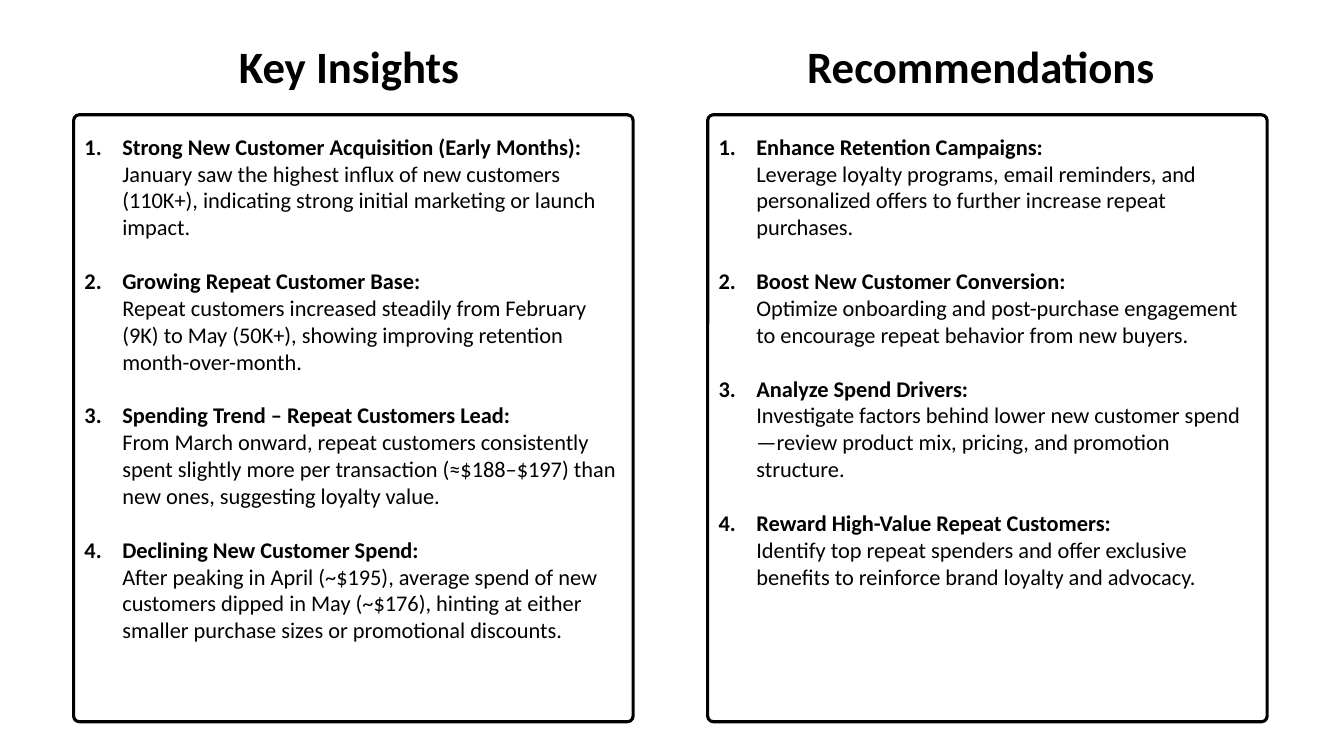
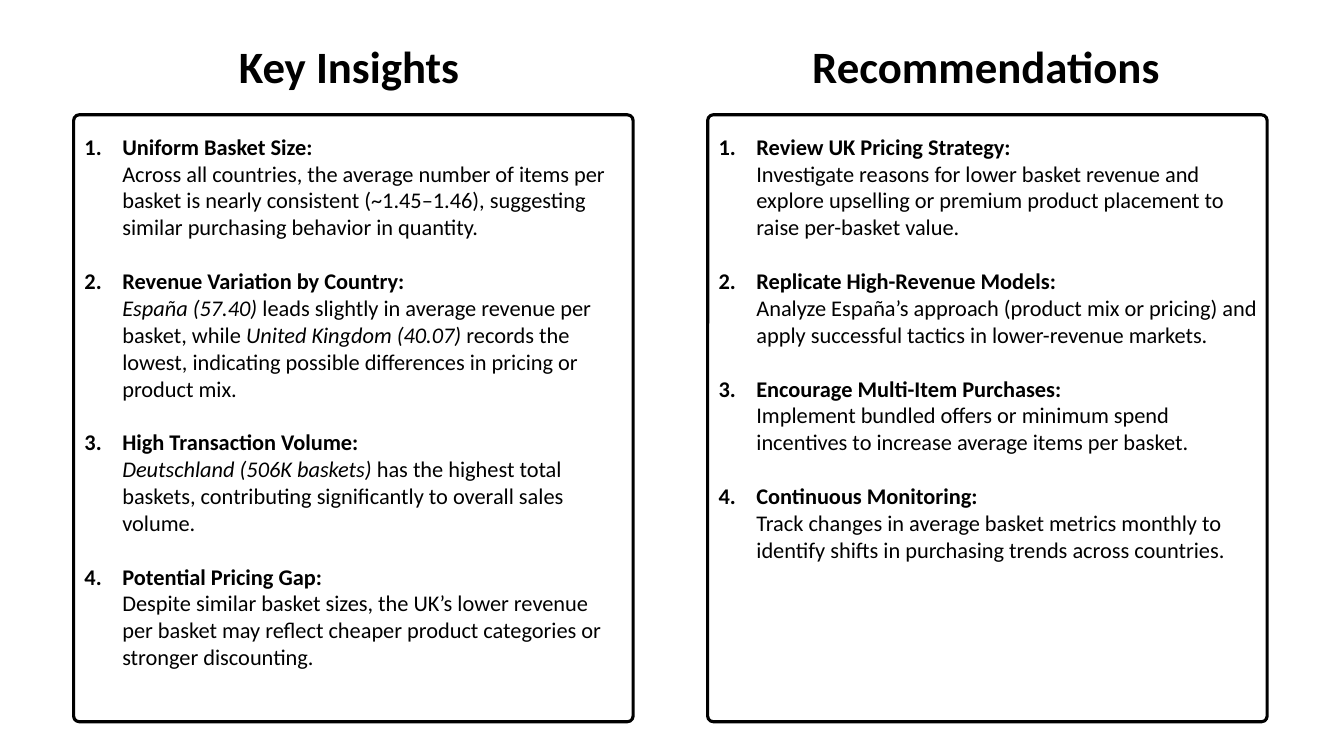
import copy

import lxml.etree
import pptx
import pptx.dml.color
import pptx.enum.shapes
import pptx.enum.text
import pptx.oxml.ns
import pptx.util

Pt = pptx.util.Pt
qn = pptx.oxml.ns.qn

COLORS = {"ink": "000000"}
INK = pptx.dml.color.RGBColor.from_string(COLORS["ink"])
FONT = "Calibri"
BODY_SIZE, HEADING_SIZE = 16, 32
FRAME_LEFT, FRAME_TOP, FRAME_WIDTH, FRAME_HEIGHT = 52.6, 82, 399.6, 433.5
COLUMN_STEP = 452.9
HANGING = 27
ITEM_GAP = 19.2

# Each slide: two columns of (heading, heading left, numbered items).
# Asterisks in an item's text enclose italics.
SLIDES = [
    [
        ("Key Insights", 163.4, [
            ("Strong New Customer Acquisition (Early Months):",
             "January saw the highest influx of new customers (110K+), indicating "
             "strong initial marketing or launch impact."),
            ("Growing Repeat Customer Base:",
             "Repeat customers increased steadily from February (9K) to May (50K+), "
             "showing improving retention month-over-month."),
            ("Spending Trend – Repeat Customers Lead:",
             "From March onward, repeat customers consistently spent slightly more "
             "per transaction (≈$188–$197) than new ones, suggesting loyalty value."),
            ("Declining New Customer Spend:",
             "After peaking in April (~$195), average spend of new customers dipped "
             "in May (~$176), hinting at either smaller purchase sizes or "
             "promotional discounts."),
        ]),
        ("Recommendations", 569.5, [
            ("Enhance Retention Campaigns:",
             "Leverage loyalty programs, email reminders, and personalized offers "
             "to further increase repeat purchases."),
            ("Boost New Customer Conversion:",
             "Optimize onboarding and post-purchase engagement to encourage repeat "
             "behavior from new buyers."),
            ("Analyze Spend Drivers:",
             "Investigate factors behind lower new customer spend—review product "
             "mix, pricing, and promotion structure."),
            ("Reward High-Value Repeat Customers:",
             "Identify top repeat spenders and offer exclusive benefits to "
             "reinforce brand loyalty and advocacy."),
        ]),
    ],
    [
        ("Key Insights", 163.4, [
            ("Uniform Basket Size:",
             "Across all countries, the average number of items per basket is nearly "
             "consistent (~1.45–1.46), suggesting similar purchasing behavior in "
             "quantity."),
            ("Revenue Variation by Country:",
             "*España (57.40)* leads slightly in average revenue per basket, while "
             "*United Kingdom (40.07)* records the lowest, indicating possible "
             "differences in pricing or product mix."),
            ("High Transaction Volume:",
             "*Deutschland (506K baskets)* has the highest total baskets, "
             "contributing significantly to overall sales volume."),
            ("Potential Pricing Gap:",
             "Despite similar basket sizes, the UK’s lower revenue per basket may "
             "reflect cheaper product categories or stronger discounting."),
        ]),
        ("Recommendations", 573.1, [
            ("Review UK Pricing Strategy:",
             "Investigate reasons for lower basket revenue and explore upselling or "
             "premium product placement to raise per-basket value."),
            ("Replicate High-Revenue Models:",
             "Analyze España’s approach (product mix or pricing) and apply "
             "successful tactics in lower-revenue markets."),
            ("Encourage Multi-Item Purchases:",
             "Implement bundled offers or minimum spend incentives to increase "
             "average items per basket."),
            ("Continuous Monitoring:",
             "Track changes in average basket metrics monthly to identify shifts in "
             "purchasing trends across countries."),
        ]),
    ],
]


def add_run(p, text, size, bold=False, italic=False):
    r = p.add_run()
    r.text = text
    r.font.name = FONT
    r.font.size = Pt(size)
    r.font.bold = bold
    r.font.italic = italic
    r.font.color.rgb = INK
    return r


def number_paragraph(p):
    """Give the paragraph a hanging automatic number."""
    pPr = p._p.get_or_add_pPr()
    pPr.set("marL", str(Pt(HANGING)))
    pPr.set("indent", str(-Pt(HANGING)))
    color = lxml.etree.SubElement(pPr, qn("a:buClr"))
    lxml.etree.SubElement(color, qn("a:srgbClr"), val=COLORS["ink"])
    lxml.etree.SubElement(pPr, qn("a:buFont"), typeface="+mj-lt")
    lxml.etree.SubElement(pPr, qn("a:buAutoNum"), type="arabicPeriod")


prs = pptx.Presentation()
prs.slide_width, prs.slide_height = Pt(960), Pt(540)

for columns in SLIDES:
    s = prs.slides.add_slide(prs.slide_layouts[5])
    for i, (heading, heading_left, items) in enumerate(columns):
        left = FRAME_LEFT + i * COLUMN_STEP

        frame = s.shapes.add_shape(
            pptx.enum.shapes.MSO_SHAPE.ROUNDED_RECTANGLE,
            Pt(left), Pt(FRAME_TOP), Pt(FRAME_WIDTH), Pt(FRAME_HEIGHT))
        frame.adjustments[0] = 0.01
        frame.shadow.inherit = False
        frame.fill.background()
        frame.line.color.rgb = INK
        frame.line.width = Pt(2.25)

        # The first heading is the slide title
        sp = s.shapes.title if i == 0 else s.shapes.add_textbox(0, 0, 0, 0)
        sp.left, sp.top = Pt(heading_left), Pt(23.8)
        sp.width, sp.height = Pt(280), Pt(46)
        tf = sp.text_frame
        tf.word_wrap = True
        tf.auto_size = pptx.enum.text.MSO_AUTO_SIZE.NONE
        tf.vertical_anchor = pptx.enum.text.MSO_ANCHOR.TOP
        p = tf.paragraphs[0]
        p.alignment = pptx.enum.text.PP_ALIGN.LEFT
        add_run(p, heading, HEADING_SIZE, bold=True)

        sp = s.shapes.add_textbox(
            Pt(left + 0.7), Pt(91.4), Pt(FRAME_WIDTH - 0.7), Pt(396))
        tf = sp.text_frame
        tf.word_wrap = True
        for n, (lead, detail) in enumerate(items):
            p = tf.add_paragraph() if n else tf.paragraphs[0]
            if n:
                p.space_before = Pt(ITEM_GAP)
            number_paragraph(p)
            r = add_run(p, lead, BODY_SIZE, bold=True)
            p.add_line_break()
            # The break needs the run's size to keep the line height
            p._p[-1].append(copy.deepcopy(r._r.rPr))
            for k, part in enumerate(detail.split("*")):
                if part:
                    add_run(p, part, BODY_SIZE, italic=k % 2 == 1)

prs.save("out.pptx")
